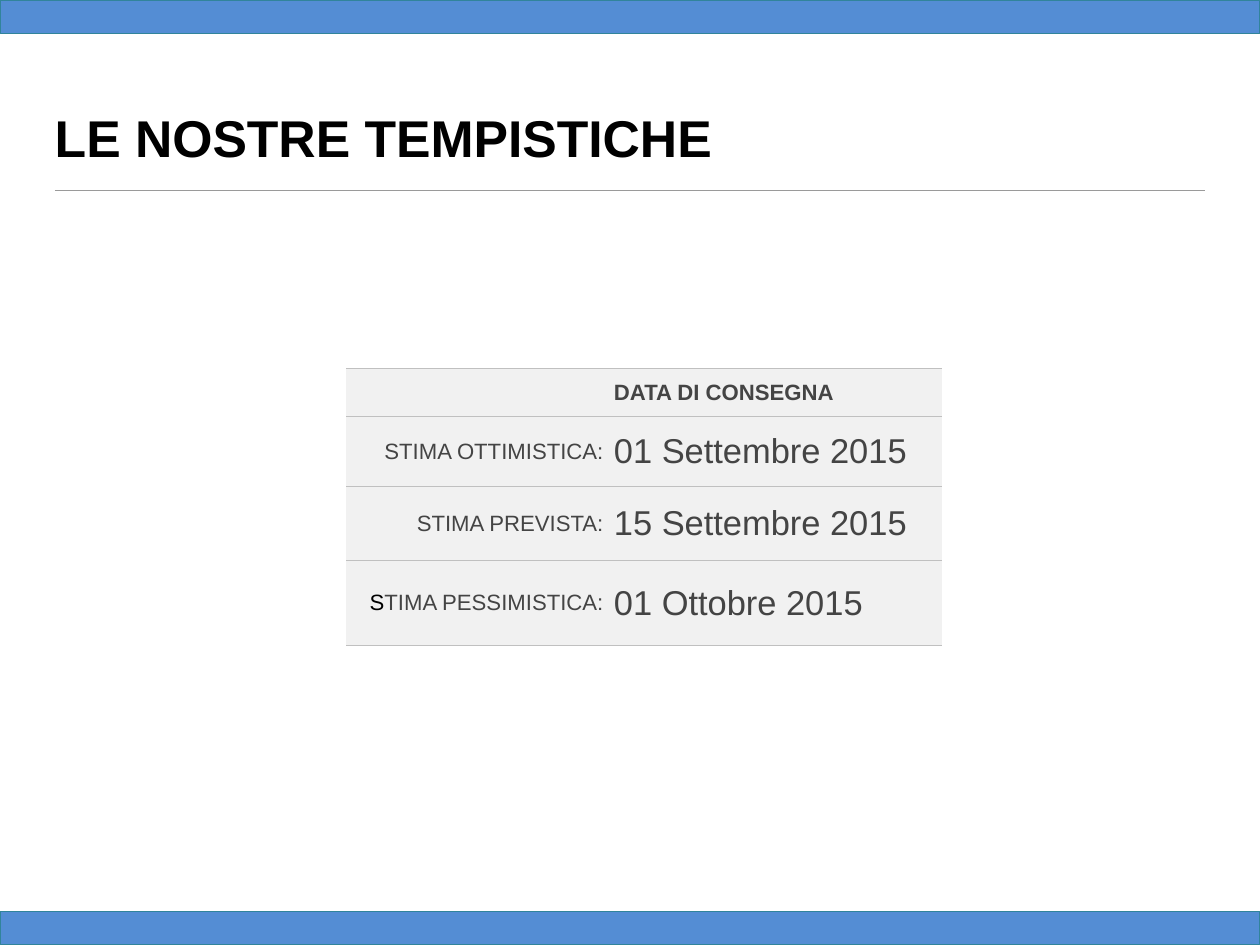
"""Build the delivery schedule slide."""
from lxml import etree
from pptx import Presentation
from pptx.dml.color import RGBColor
from pptx.enum.shapes import MSO_CONNECTOR, MSO_SHAPE
from pptx.enum.text import MSO_ANCHOR, PP_ALIGN
from pptx.oxml import parse_xml
from pptx.oxml.ns import nsdecls, qn
from pptx.util import Cm, Pt

STRAIGHT = MSO_CONNECTOR.STRAIGHT
RECTANGLE = MSO_SHAPE.RECTANGLE
MIDDLE, BOTTOM = MSO_ANCHOR.MIDDLE, MSO_ANCHOR.BOTTOM
LEFT, RIGHT = PP_ALIGN.LEFT, PP_ALIGN.RIGHT

WIDTH, HEIGHT = 36.12, 27.1
BAND_HEIGHT = 0.97
FONT = "Arial"
COLORS = {
    "black": "000000",
    "text": "444444",
    "cell": "F1F1F1",
    "border": "C0C0C0",
    "rule": "9A9A9A",
    "band": "548DD4",
    "band_line": "31849B",
}
COLUMNS = [7.52, 9.55]
ROWS = [1.37, 2.01, 2.13, 2.44]
ESTIMATES = [
    ([("STIMA OTTIMISTICA:", "text")], "01 Settembre 2015"),
    ([("STIMA PREVISTA:", "text")], "15 Settembre 2015"),
    ([("S", "black"), ("TIMA PESSIMISTICA:", "text")], "01 Ottobre 2015"),
]


def rgb(name):
    """Return the named palette colour."""
    return RGBColor.from_string(COLORS[name])


def add_run(p, text, size, color, bold=False):
    """Add one formatted run to a paragraph."""
    r = p.add_run()
    r.text = text
    r.font.name = FONT
    r.font.size = Pt(size)
    r.font.bold = bold
    r.font.color.rgb = rgb(color)


def add_band(s, x, y, w, h):
    """Add a coloured band filling the box."""
    sp = s.shapes.add_shape(RECTANGLE, Cm(x), Cm(y), Cm(w), Cm(h))
    sp.shadow.inherit = False
    sp.fill.solid()
    sp.fill.fore_color.rgb = rgb("band")
    sp.line.color.rgb = rgb("band_line")
    sp.line.width = Pt(0.75)


def add_title(s, x, y, w, h):
    """Add the title, with a rule along the bottom of the box."""
    sp = s.shapes.add_textbox(Cm(x), Cm(y), Cm(w), Cm(h - 0.66))
    tf = sp.text_frame
    tf.word_wrap = True
    tf.vertical_anchor = BOTTOM
    tf.margin_left = tf.margin_right = tf.margin_top = tf.margin_bottom = 0
    add_run(tf.paragraphs[0], "LE NOSTRE TEMPISTICHE", 42, "black", True)
    rule = s.shapes.add_connector(STRAIGHT, Cm(x), Cm(y + h), Cm(x + w), Cm(y + h))
    rule.line.color.rgb = rgb("rule")
    rule.line.width = Pt(1)
    etree.SubElement(rule._element.spPr, qn("a:effectLst"))


def style_cell(cell):
    """Set the margins, horizontal borders and fill of a cell."""
    cell.margin_left = cell.margin_right = Cm(0.15)
    cell.margin_top = cell.margin_bottom = Cm(0.15)
    cell.vertical_anchor = MIDDLE
    solid = f'<a:solidFill><a:srgbClr val="{COLORS["border"]}"/></a:solidFill>'
    tcPr = cell._tc.get_or_add_tcPr()
    for side, paint in zip("LRTB", ["<a:noFill/>"] * 2 + [solid] * 2):
        tcPr.append(parse_xml(
            f'<a:ln{side} {nsdecls("a")} w="{Pt(1)}">{paint}</a:ln{side}>'))
    cell.fill.solid()
    cell.fill.fore_color.rgb = rgb("cell")


def add_schedule(s, x, y, w, h):
    """Add the table of delivery estimates."""
    table = s.shapes.add_table(
        len(ROWS), len(COLUMNS), Cm(x), Cm(y), Cm(w), Cm(h)).table
    table.horz_banding = False
    for column, width in zip(table.columns, COLUMNS):
        column.width = Cm(width)
    for row, height in zip(table.rows, ROWS):
        row.height = Cm(height)
    for cell in table.iter_cells():
        style_cell(cell)
    p = table.cell(0, 1).text_frame.paragraphs[0]
    add_run(p, "DATA DI CONSEGNA", 18, "text", True)
    for i, (label, date) in enumerate(ESTIMATES, 1):
        p = table.cell(i, 0).text_frame.paragraphs[0]
        p.alignment = RIGHT
        for text, color in label:
            add_run(p, text, 18, color)
        p = table.cell(i, 1).text_frame.paragraphs[0]
        p.alignment = LEFT
        add_run(p, date, 28, "text")


def main():
    """Build and save the presentation."""
    prs = Presentation()
    prs.slide_width, prs.slide_height = Cm(WIDTH), Cm(HEIGHT)
    s = prs.slides.add_slide(prs.slide_layouts[6])
    add_title(s, 1.57, 0.91, 32.97, 4.55)
    add_schedule(s, 9.93, 10.57, sum(COLUMNS), sum(ROWS))
    for y in (HEIGHT - BAND_HEIGHT, 0):
        add_band(s, 0, y, WIDTH, BAND_HEIGHT)
    prs.save("out.pptx")


if __name__ == "__main__":
    main()
